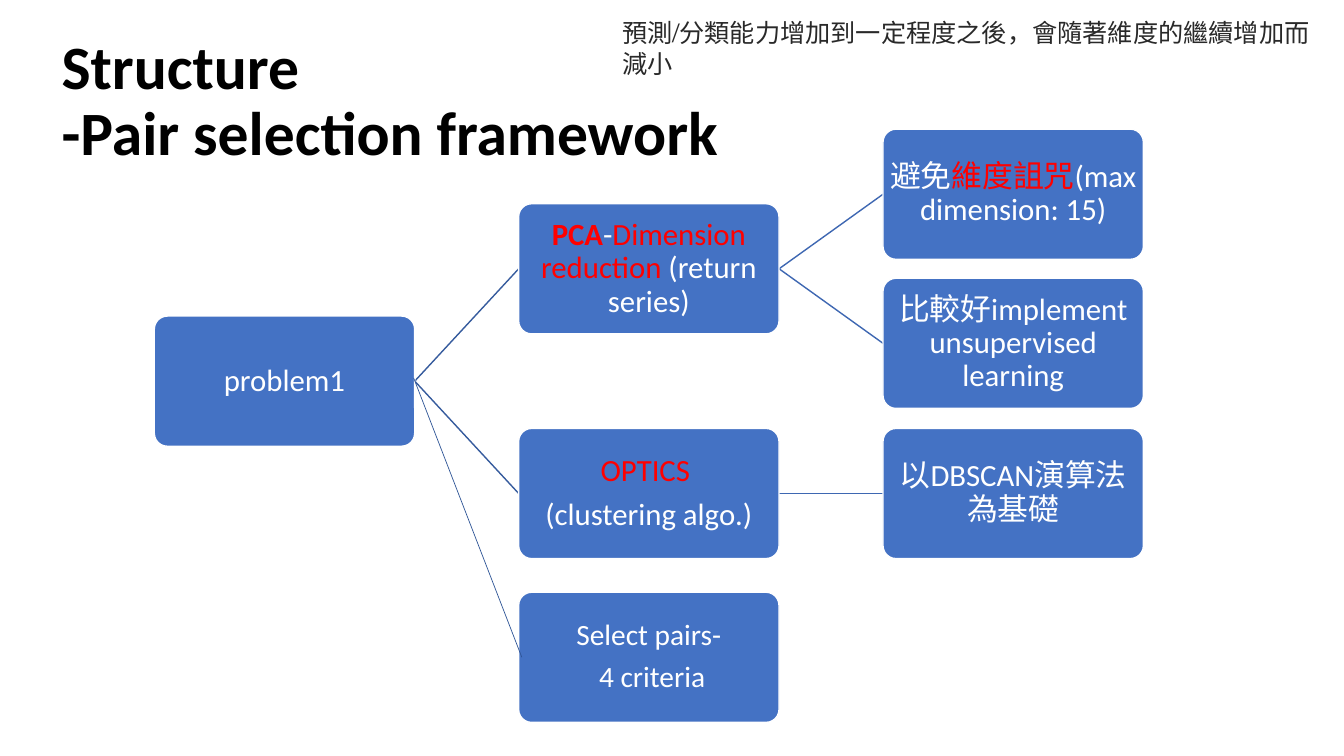
from lxml import etree
from pptx import Presentation
from pptx.dml.color import RGBColor
from pptx.enum.shapes import MSO_CONNECTOR, MSO_SHAPE
from pptx.enum.text import MSO_ANCHOR, MSO_AUTO_SIZE, PP_ALIGN
from pptx.oxml.ns import qn
from pptx.util import Emu, Pt

STRAIGHT = MSO_CONNECTOR.STRAIGHT
ROUNDED = MSO_SHAPE.ROUNDED_RECTANGLE
TOP, MIDDLE = MSO_ANCHOR.TOP, MSO_ANCHOR.MIDDLE
LEFT, CENTER = PP_ALIGN.LEFT, PP_ALIGN.CENTER
NO_FIT = MSO_AUTO_SIZE.NONE

LATIN, CJK, NOTE = "Calibri", "Noto Sans CJK SC", "TeX Gyre Schola"
BLUE, WHITE, RED, BLACK, GREY = "4472C4", "FFFFFF", "FF0000", "000000", "292929"
TRUNK, BRANCH, EXTRA = "365B9D", "3E67B2", "2F5597"
BOX_WIDTH, BOX_HEIGHT = 248, 124
COLUMNS = [147 + 347 * level for level in range(3)]


def px(count):
    return Emu(count * 9525)


def colour(value):
    return RGBColor.from_string(value)


class TreeSlide:
    """Draws the styled elements of a tree diagram on one slide."""

    def __init__(self, deck):
        self.page = deck.slides.add_slide(deck.slide_layouts[5])

    def span(self, para, text, size, font=LATIN, shade=WHITE, bold=False):
        run = para.add_run()
        run.text = text
        run.font.size = Pt(size)
        run.font.bold = bold
        run.font.color.rgb = colour(shade)
        run.font.name = font
        east_asian = etree.SubElement(run.font._element, qn("a:ea"))
        east_asian.set("typeface", CJK)

    def frame(self, shape, anchor):
        frame = shape.text_frame
        frame.word_wrap = True
        frame.auto_size = NO_FIT
        frame.vertical_anchor = anchor
        return frame

    def title(self, lines, left, top, width, height):
        title = self.page.shapes.title
        title.left, title.top = px(left), px(top)
        title.width, title.height = px(width), px(height)
        para = self.frame(title, MIDDLE).paragraphs[0]
        para.alignment = LEFT
        para.line_spacing = 0.9
        for index, line in enumerate(lines):
            if index:
                para.add_line_break()
            self.span(para, line, 44, shade=BLACK, bold=True)

    def note(self, text, left, top, width, height):
        box = self.page.shapes.add_textbox(px(left), px(top), px(width), px(height))
        para = self.frame(box, TOP).paragraphs[0]
        self.span(para, text, 18, NOTE, GREY)

    def node(self, level, top, paragraphs, size=22):
        box = self.page.shapes.add_shape(
            ROUNDED, px(COLUMNS[level]), px(top), px(BOX_WIDTH), px(BOX_HEIGHT))
        box.shadow.inherit = False
        box.adjustments[0] = 0.1
        box.fill.solid()
        box.fill.fore_color.rgb = colour(BLUE)
        box.line.color.rgb = colour(WHITE)
        box.line.width = Pt(1)
        frame = self.frame(box, MIDDLE)
        frame.margin_left = frame.margin_right = px(2)
        frame.margin_top = frame.margin_bottom = px(2)
        for index, spans in enumerate(paragraphs):
            para = frame.add_paragraph() if index else frame.paragraphs[0]
            para.alignment = CENTER
            para.line_spacing = 0.9
            para.space_after = Pt(size * 0.35)
            for text, *style in spans:
                self.span(para, text, size, *style)
        return box

    def line(self, start, end, shade, width):
        link = self.page.shapes.add_connector(STRAIGHT, *map(px, start + end))
        link.line.color.rgb = colour(shade)
        link.line.width = Pt(width)
        etree.SubElement(link._element.spPr, qn("a:effectLst"))

    def branch(self, level, parent_top, child_top, shade):
        half = BOX_HEIGHT // 2
        start = (COLUMNS[level] + BOX_WIDTH, parent_top + half)
        end = (COLUMNS[level + 1], child_top + half)
        self.line(start, end, shade, 1)


def main():
    deck = Presentation()
    deck.slide_width, deck.slide_height = px(1280), px(720)
    slide = TreeSlide(deck)
    slide.title(["Structure", "-Pair selection framework"], 49, 28, 1104, 139)

    problem, pca, optics, pairs = 301, 194, 408, 564
    curse, unsupervised = 123, 265
    for child in (pca, optics):
        slide.branch(0, problem, child, TRUNK)
    for parent, child in ((pca, curse), (pca, unsupervised), (optics, optics)):
        slide.branch(1, parent, child, BRANCH)

    slide.node(0, problem, [[("problem1",)]])
    slide.node(1, pca, [[("PCA", LATIN, RED, True), ("-",),
                         ("Dimension reduction ", LATIN, RED), ("(return series)",)]])
    slide.node(2, curse, [[("避免", CJK), ("維度詛咒", CJK, RED), ("(max dimension: 15)",)]])
    slide.node(2, unsupervised, [[("比較好", CJK), ("implement unsupervised learning",)]])
    slide.node(1, optics, [[("OPTICS ", LATIN, RED)], [("(clustering algo.)",)]])
    slide.node(2, optics, [[("以", CJK), ("DBSCAN",), ("演算法為基礎", CJK)]])
    slide.node(1, pairs, [[("Select pairs-",)], [(" 4 criteria",)]], 21)
    slide.line((394, 360), (497, 626), EXTRA, 0.5)

    slide.note("預測/分類能力增加到一定程度之後，會隨著維度的繼續增加而減小", 583, 12, 679, 68)
    deck.save("out.pptx")


if __name__ == "__main__":
    main()
